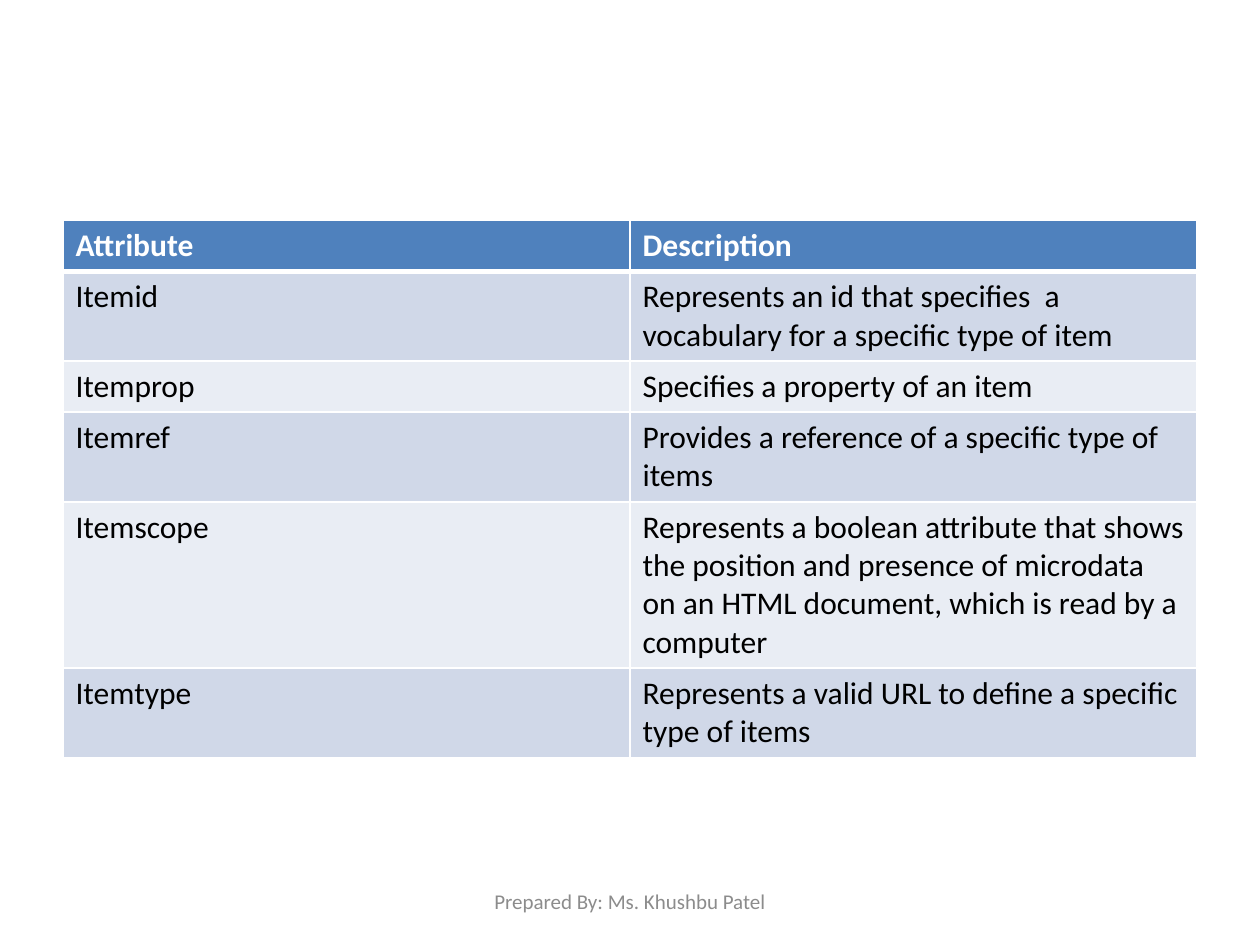
from lxml.etree import SubElement
from pptx import Presentation
from pptx.dml.color import RGBColor
from pptx.enum.text import MSO_ANCHOR, PP_ALIGN
from pptx.oxml.ns import qn
from pptx.util import Pt

WHITE = RGBColor(0xFF, 0xFF, 0xFF)
BLACK = RGBColor(0x00, 0x00, 0x00)
GREY = RGBColor(0x8C, 0x8C, 0x8C)
BLUE = RGBColor(0x4F, 0x81, 0xBD)
BAND_DARK = RGBColor(0xD0, 0xD8, 0xE8)
BAND_LIGHT = RGBColor(0xE9, 0xED, 0xF4)

ROWS = [
    ("Attribute", "Description"),
    ("Itemid", "Represents an id that specifies  a vocabulary for a specific type of item"),
    ("Itemprop", "Specifies a property of an item"),
    ("Itemref", "Provides a reference of a specific type of items"),
    ("Itemscope", "Represents a boolean attribute that shows the position and presence of "
                  "microdata on an HTML document, which is read by a computer"),
    ("Itemtype", "Represents a valid URL to define a specific type of items"),
]


def write(tf, text, color, **formats):
    """Write one run of text with the given font formats."""
    r = tf.paragraphs[0].add_run()
    r.text = text
    for name, value in {"name": "Calibri", **formats}.items():
        setattr(r.font, name, value)
    r.font.color.rgb = color


def set_borders(cell, widths):
    """Draw white cell borders from a dict of side letters and widths."""
    tc_pr = cell._tc.get_or_add_tcPr()
    for side, width in widths.items():
        ln = SubElement(tc_pr, qn(f"a:ln{side}"), w=str(Pt(width)))
        SubElement(SubElement(ln, qn("a:solidFill")), qn("a:srgbClr"), val=str(WHITE))


def add_attribute_table(s, left, top, width, row_height):
    """Place the banded attribute table, with columns of equal width."""
    n_rows, n_cols = len(ROWS), len(ROWS[0])
    table = s.shapes.add_table(n_rows, n_cols, Pt(left), Pt(top),
                               Pt(width), Pt(row_height * n_rows)).table
    for i, row in enumerate(ROWS):
        header = i == 0
        fill = BLUE if header else (BAND_LIGHT, BAND_DARK)[i % 2]
        for j, text in enumerate(row):
            cell = table.cell(i, j)
            set_borders(cell, {"L": 1, "R": 1, "T": 3 if i == 1 else 1, "B": 3 if header else 1})
            cell.fill.solid()
            cell.fill.fore_color.rgb = fill
            write(cell.text_frame, text, WHITE if header else BLACK, size=Pt(18), bold=header)


def add_footer(s, left, top, width, height):
    """Place the centred footer line."""
    tf = s.shapes.add_textbox(Pt(left), Pt(top), Pt(width), Pt(height)).text_frame
    tf.word_wrap = True
    tf.vertical_anchor = MSO_ANCHOR.MIDDLE
    tf.paragraphs[0].alignment = PP_ALIGN.CENTER
    write(tf, "Prepared By: Ms. Khushbu Patel", GREY, size=Pt(12))


def main():
    """Build the slide and save it."""
    prs = Presentation()
    prs.slide_width, prs.slide_height = Pt(720), Pt(540)
    s = prs.slides.add_slide(prs.slide_layouts[6])
    add_attribute_table(s, 36, 126, 648, 29.2)
    add_footer(s, 246, 500.5, 228, 28.75)
    prs.save("out.pptx")


if __name__ == "__main__":
    main()
